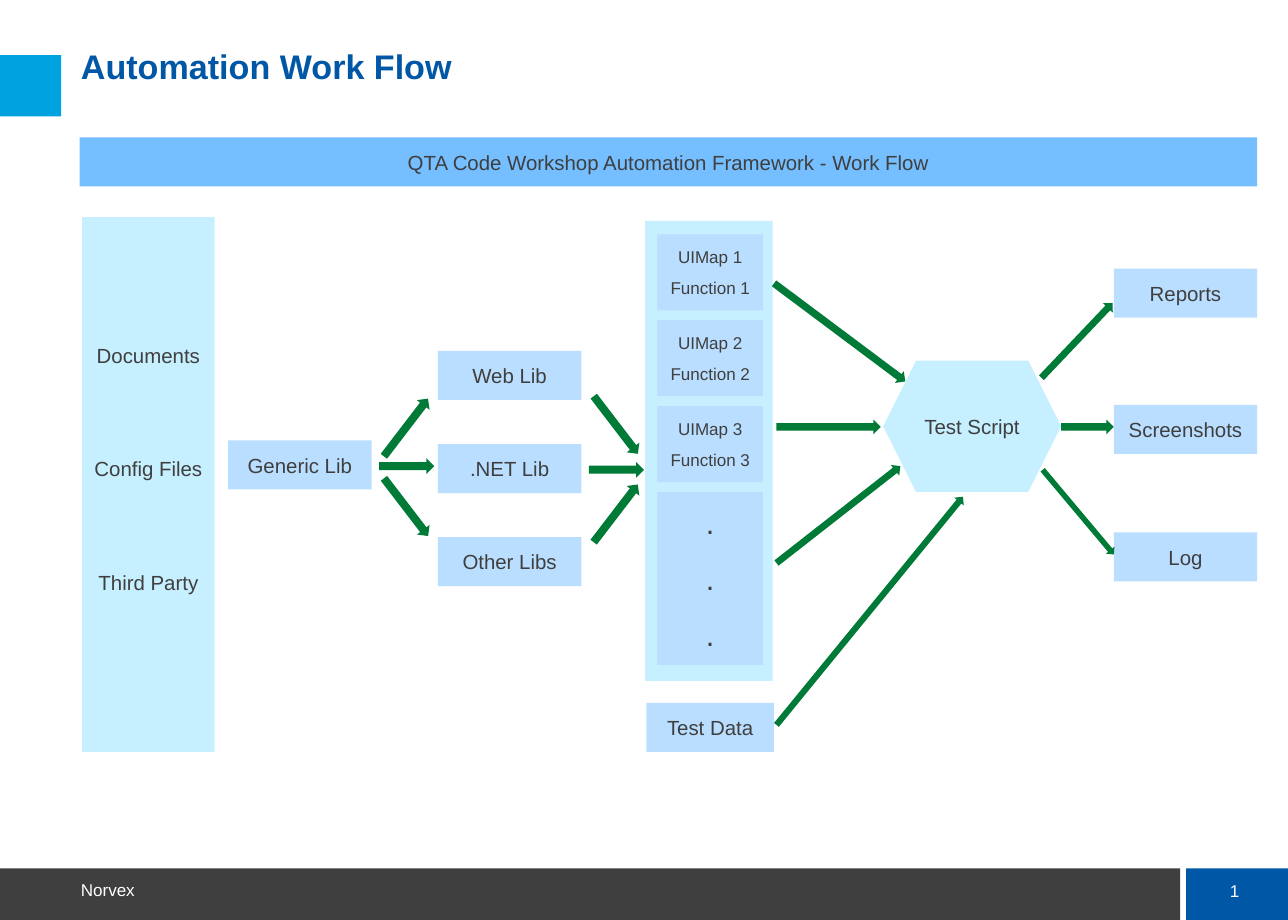
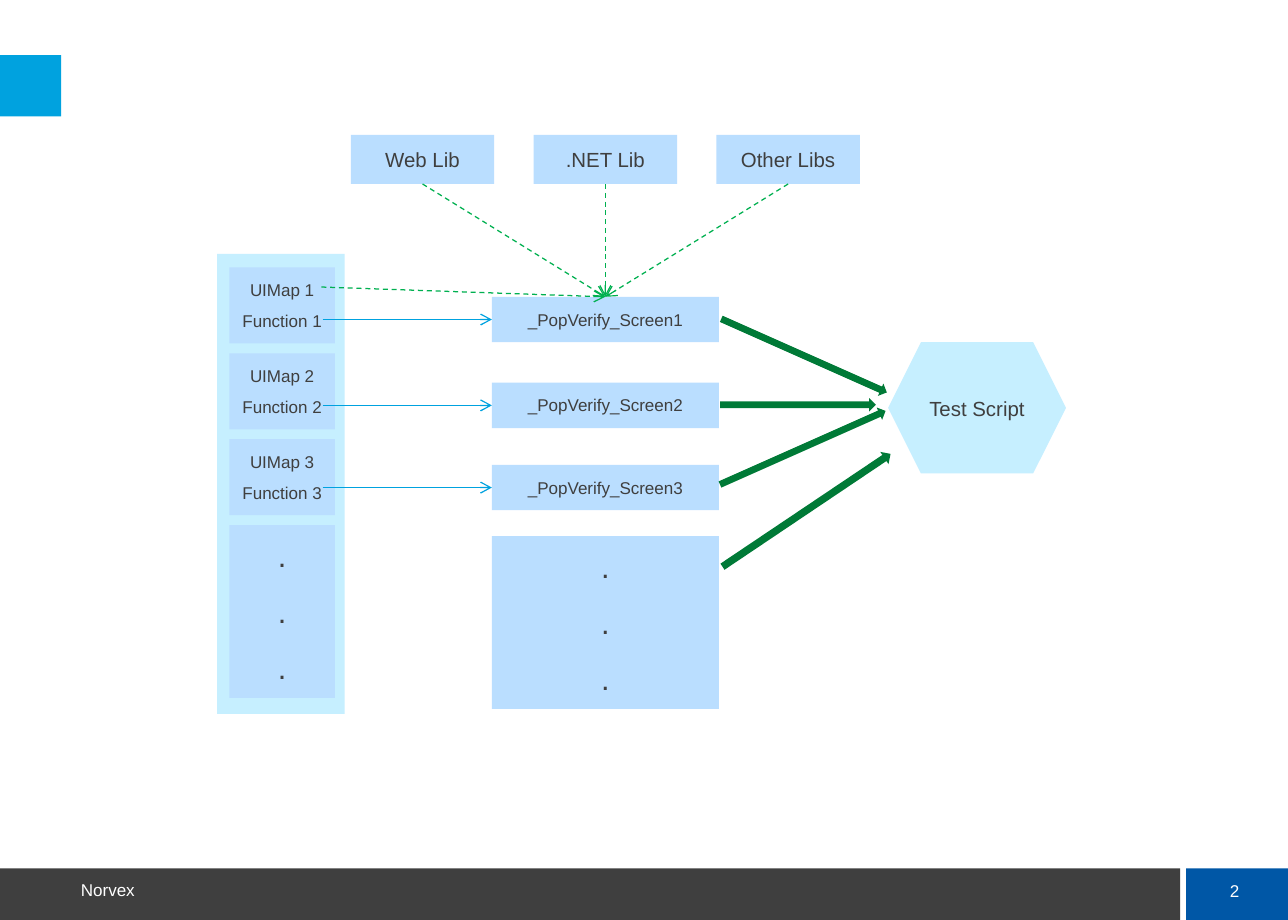
from copy import deepcopy
from dataclasses import dataclass
from math import atan2, degrees, hypot

from lxml.etree import SubElement
from pptx import Presentation
from pptx.dml.color import RGBColor
from pptx.enum.dml import MSO_LINE
from pptx.enum.shapes import MSO_CONNECTOR, MSO_SHAPE
from pptx.enum.text import MSO_ANCHOR, MSO_AUTO_SIZE, PP_ALIGN
from pptx.oxml.ns import qn
from pptx.util import Inches, Pt


@dataclass(frozen=True)
class Theme:
    font: str = "Arial"
    ink: str = "3F3F3F"
    white: str = "FFFFFF"
    navy: str = "0057A6"
    cyan: str = "00A2DF"
    banner: str = "75BEFF"
    panel: str = "C6EFFF"
    card: str = "BADEFF"
    flow: str = "007A37"
    call: str = "00B050"
    title: int = 20
    dots: int = 18
    label: int = 12
    small: int = 10


THEME = Theme()

# Content: boxes are (left, top, width, height) in inches
TITLE = "Automation Work Flow"
TITLE_BOX = (0.66, 0.41, 8.96, 0.66)
FOOTER = "Norvex"
BANNER = "QTA Code Workshop Automation Framework - Work Flow"
SOURCES = ["Documents", "Config Files", "Third Party"]
LIBRARIES = ["Web Lib", ".NET Lib", "Other Libs"]
OUTPUTS = [("Reports", 2.19), ("Screenshots", 3.3), ("Log", 4.34)]
UI_MAPS = [[f"UIMap {n}", f"Function {n}"] for n in (1, 2, 3)]
SCREENS = [("_PopVerify_Screen1", 2.42), ("_PopVerify_Screen2", 3.12),
           ("_PopVerify_Screen3", 3.79)]
MORE = [".", ".", "."]
SCRIPT = "Test Script"
LABEL_SIZE = (1.17, 0.4)
SCRIPT_SIZE = (1.45, 1.07)

# Block arrows: (start, end, thickness)
WORKFLOW_ARROWS = [
    # generic library to libraries
    ((3.13, 3.72), (3.49, 3.25), 0.13),
    ((3.09, 3.8), (3.54, 3.8), 0.13),
    ((3.13, 3.9), (3.49, 4.37), 0.13),
    # libraries to UI maps
    ((4.84, 3.23), (5.2, 3.7), 0.13),
    ((4.8, 3.83), (5.25, 3.83), 0.13),
    ((4.84, 4.42), (5.2, 3.95), 0.13),
    # UI maps and test data to script
    ((6.31, 2.31), (7.38, 3.11), 0.12),
    ((6.33, 3.48), (7.18, 3.48), 0.12),
    ((6.33, 4.59), (7.34, 3.8), 0.11),
    ((6.33, 5.91), (7.85, 4.05), 0.1),
    # script to outputs
    ((8.49, 3.08), (9.07, 2.47), 0.11),
    ((8.65, 3.48), (9.08, 3.48), 0.12),
    ((8.5, 3.83), (9.08, 4.52), 0.09),
]
SCREEN_ARROWS = [
    ((5.88, 2.6), (7.23, 3.2), 0.11),
    ((5.87, 3.3), (7.14, 3.3), 0.11),
    ((5.87, 3.95), (7.22, 3.35), 0.11),
    ((5.89, 4.62), (7.26, 3.7), 0.12),
]


def rgb(value):
    return RGBColor.from_string(value)


def apply(target, formats):
    for attribute, value in formats.items():
        setattr(target, attribute, value)


def write(frame, lines, size=THEME.label, color=THEME.ink, bold=False,
          inset=(0.05, 0.1), paragraph=None, **frame_formats):
    """Fill a text frame, one paragraph per line."""
    side, top = map(Inches, inset)
    apply(frame, {"word_wrap": True, "auto_size": MSO_AUTO_SIZE.NONE,
                  "vertical_anchor": MSO_ANCHOR.TOP,
                  "margin_left": side, "margin_right": side,
                  "margin_top": top, "margin_bottom": top, **frame_formats})
    formats = {"alignment": PP_ALIGN.CENTER, "space_before": Pt(size * 0.62),
               **(paragraph or {})}
    for index, line in enumerate(lines):
        para = frame.add_paragraph() if index else frame.paragraphs[0]
        apply(para, formats)
        run = para.add_run()
        run.text = line
        apply(run.font, {"name": THEME.font, "size": Pt(size), "bold": bold})
        run.font.color.rgb = rgb(color)


def block(slide, box, fill, lines=(), kind=MSO_SHAPE.RECTANGLE, **text):
    shape = slide.shapes.add_shape(kind, *map(Inches, box))
    shape.shadow.inherit = False
    shape.fill.solid()
    shape.fill.fore_color.rgb = rgb(fill)
    shape.line.fill.background()
    if lines:
        write(shape.text_frame, lines, **text)
    return shape


def label(slide, text, left, top, width=LABEL_SIZE[0]):
    return block(slide, (left, top, width, LABEL_SIZE[1]), THEME.card, [text])


def caption(slide, box, text, **formats):
    shape = slide.shapes.add_textbox(*map(Inches, box))
    write(shape.text_frame, [text], size=THEME.small, color=THEME.white,
          inset=(0, 0), **formats)
    return shape


def block_arrow(slide, start, end, thickness):
    """Draw a block arrow whose axis runs from start to end."""
    (x1, y1), (x2, y2) = start, end
    length = hypot(x2 - x1, y2 - y1)
    box = ((x1 + x2 - length) / 2, (y1 + y2 - thickness) / 2, length, thickness)
    arrow = block(slide, box, THEME.flow, kind=MSO_SHAPE.RIGHT_ARROW)
    arrow.rotation = degrees(atan2(y2 - y1, x2 - x1))


def thin_arrow(slide, target, side, color, source=None, start=(0, 0), dash=None):
    """Join a thin arrow to a side of target, from source's bottom or a point."""
    line = slide.shapes.add_connector(
        MSO_CONNECTOR.STRAIGHT, *map(Inches, start), *map(Inches, start))
    if source is not None:
        line.begin_connect(source, 2)
    line.end_connect(target, side)
    apply(line.line, {"width": Pt(0.75), "dash_style": dash})
    line.line.color.rgb = rgb(color)
    SubElement(line.line._get_or_add_ln(), qn("a:tailEnd"), type="arrow")
    SubElement(line._element.spPr, qn("a:effectLst"))


def ui_map_stack(slide, left, top):
    block(slide, (left, top, 1.04, 3.75), THEME.panel)
    for row, lines in enumerate(UI_MAPS + [MORE]):
        more = lines is MORE
        block(slide, (left + 0.1, top + 0.11 + 0.7 * row, 0.86, 1.41 if more else 0.62),
              THEME.card, lines, size=THEME.dots if more else THEME.small)


def test_script(slide, left, top):
    block(slide, (left, top, *SCRIPT_SIZE), THEME.panel, [SCRIPT],
          kind=MSO_SHAPE.HEXAGON, vertical_anchor=MSO_ANCHOR.MIDDLE)


def furnish_master(prs, slide):
    """Build the bands, footer and page number once and move them to the master."""
    parts = [
        block(slide, (0, 7.08, 9.62, 0.42), THEME.ink),
        block(slide, (9.67, 7.08, 0.83, 0.42), THEME.navy),
        block(slide, (0, 0.45, 0.5, 0.5), THEME.cyan),
        caption(slide, (0.66, 7.15, 4.19, 0.19), FOOTER,
                vertical_anchor=MSO_ANCHOR.BOTTOM,
                paragraph={"alignment": PP_ALIGN.LEFT, "space_before": Pt(0)}),
    ]
    number = caption(slide, (9.82, 7.13, 0.49, 0.27), "‹#›",
                     vertical_anchor=MSO_ANCHOR.MIDDLE,
                     paragraph={"space_before": Pt(0)})
    run = number.text_frame.paragraphs[0].runs[0]._r
    field = SubElement(run.getparent(), qn("a:fld"), type="slidenum",
                       id="{B6F15528-21DE-4FAA-801E-634DDDAF4B2B}")
    field.extend(deepcopy(child) for child in run)
    run.getparent().remove(run)
    for index, part in enumerate(parts + [number]):
        part._element.nvSpPr.cNvPr.id = 20 + index
        prs.slide_master.shapes._spTree.insert(2 + index, part._element)


def build_workflow(slide):
    apply(slide.shapes.title,
          dict(zip(("left", "top", "width", "height"), map(Inches, TITLE_BOX))))
    write(slide.shapes.title.text_frame, [TITLE], size=THEME.title,
          color=THEME.navy, bold=True, inset=(0, 0),
          paragraph={"alignment": PP_ALIGN.LEFT, "line_spacing": 0.9,
                     "space_before": Pt(0)})
    block(slide, (0.65, 1.12, 9.6, 0.4), THEME.banner, [BANNER])
    block(slide, (0.67, 1.77, 1.08, 4.36), THEME.panel, SOURCES,
          margin_top=Inches(1.03), paragraph={"space_before": Pt(52)})
    label(slide, "Generic Lib", 1.86, 3.59)
    for row, library in enumerate(LIBRARIES):
        label(slide, library, 3.57, 2.86 + 0.76 * row)
    ui_map_stack(slide, 5.26, 1.8)
    label(slide, "Test Data", 5.27, 5.73, 1.04)
    test_script(slide, 7.2, 2.94)
    for output, top in OUTPUTS:
        label(slide, output, 9.08, top)
    for arrow in WORKFLOW_ARROWS:
        block_arrow(slide, *arrow)


def build_screens(slide):
    ui_map_stack(slide, 1.77, 2.07)
    test_script(slide, 7.24, 2.79)
    screens = [block(slide, (4.01, top, 1.85, 0.37), THEME.card, [name],
                     size=THEME.small) for name, top in SCREENS]
    block(slide, (4.01, 4.37, 1.85, 1.41), THEME.card, MORE, size=THEME.dots)
    for arrow in SCREEN_ARROWS:
        block_arrow(slide, *arrow)
    # Each function opens its screen
    for screen, (_, top) in zip(screens, SCREENS):
        thin_arrow(slide, screen, 1, THEME.cyan, start=(2.63, top + 0.37 / 2))
    # Libraries and the first map feed the first screen
    dashed = {"target": screens[0], "side": 0, "color": THEME.call,
              "dash": MSO_LINE.DASH}
    for column, library in enumerate(LIBRARIES):
        source = label(slide, library, 2.86 + 1.49 * column, 1.1)
        thin_arrow(slide, source=source, **dashed)
    thin_arrow(slide, start=(2.62, 2.34), **dashed)


def main():
    prs = Presentation()
    prs.slide_width, prs.slide_height = Inches(10.5), Inches(7.5)
    title_only, blank = prs.slide_layouts[5], prs.slide_layouts[6]
    workflow = prs.slides.add_slide(title_only)
    furnish_master(prs, workflow)
    build_workflow(workflow)
    build_screens(prs.slides.add_slide(blank))
    prs.save("out.pptx")


if __name__ == "__main__":
    main()
